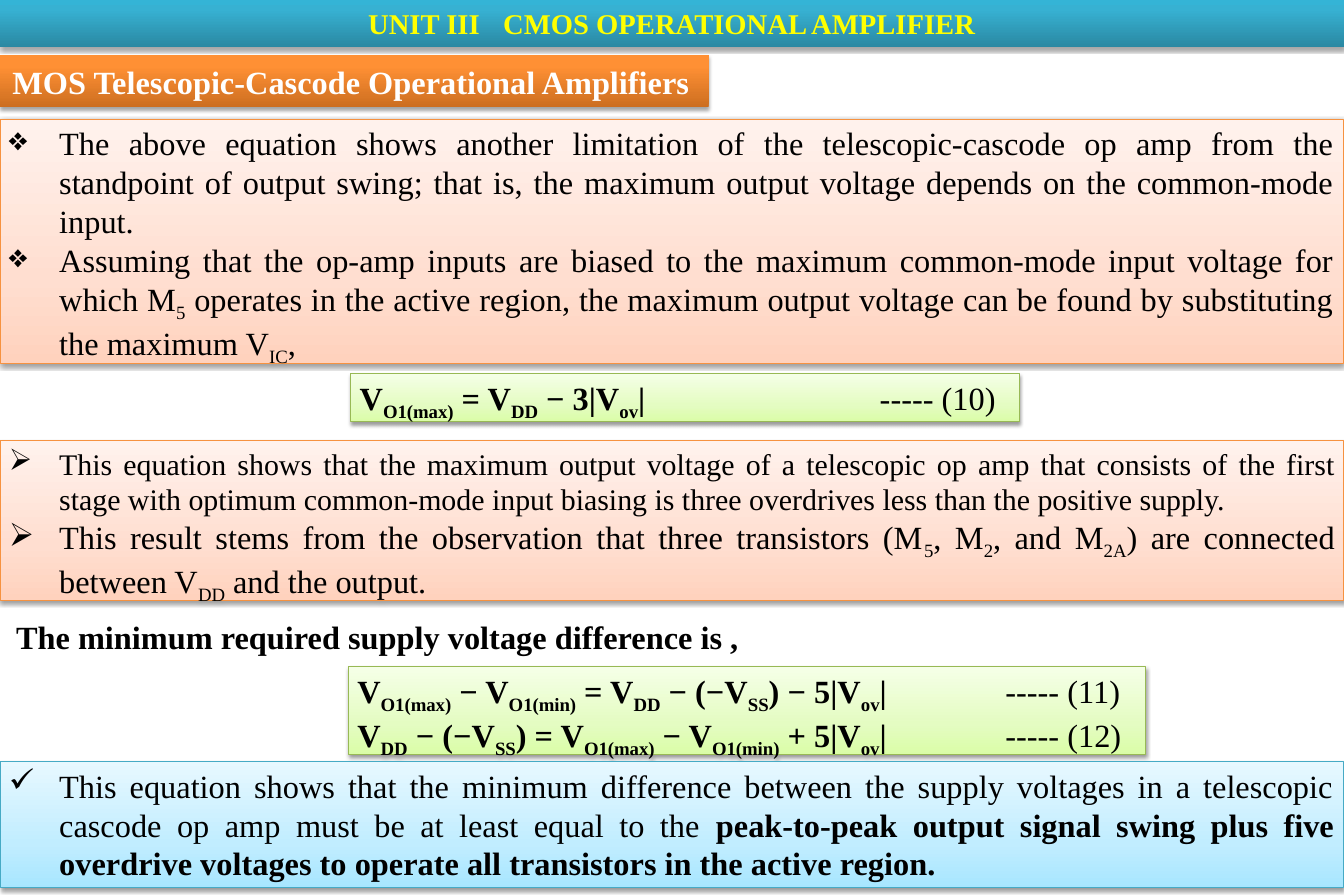
from copy import deepcopy
from dataclasses import dataclass
from typing import Optional

from pptx import Presentation
from pptx import util as u
from pptx.dml.color import RGBColor
from pptx.enum import shapes, text
from pptx.oxml import parse_xml
from pptx.oxml.ns import nsdecls, qn

FONT = "Times New Roman"
TAB = 102.85  # spacing of the tab stops
HANGING = 40.5  # bullet indent


@dataclass(frozen=True)
class Look:
    stops: tuple  # (position, colour), bottom to top
    line: Optional[str] = None
    shadow_alpha: int = 38
    shadow_distance: float = 1.6
    inset: tuple = (7.2, 3.6)


@dataclass(frozen=True)
class Line:
    words: str  # [x] is a subscript, * switches bold
    size: float = 26
    bullet: Optional[str] = None
    tab: Optional[float] = None
    align: Optional[text.PP_ALIGN] = None


@dataclass(frozen=True)
class Panel:
    place: tuple  # left, top, width, height
    lines: tuple
    look: Optional[Look] = None
    wrap: bool = True
    color: str = "000000"


def banner(bottom: str, middle: str, top: str) -> Look:
    return Look(((0, bottom), (0.8, middle), (1, top)), None, 35, 1.8, (10, 5))


def card(bottom: str, middle: str, top: str, line: str) -> Look:
    return Look(((0, bottom), (0.35, middle), (1, top)), line)


TEAL = banner("2A88A2", "37B1D2", "34B4D6")
ORANGE = banner("CC6E20", "FF9034", "FF9136")
PEACH = card("FFD2BD", "FFDED0", "FFF2ED", "F69240")
GREEN = card("DAFDA7", "E4FCC2", "F5FFE7", "98B955")
BLUE = card("A7E6FF", "C1EDFF", "E7F8FF", "46AAC5")

PANELS = (
    # Headings
    Panel((0, 44.6, 569.5, 41.8),
          (Line("*MOS Telescopic-Cascode Operational Amplifiers"),),
          ORANGE, wrap=False, color="FFFFFF"),
    Panel((0, 0, 1080, 38.2),
          (Line("*UNIT III\t CMOS OPERATIONAL AMPLIFIER", 23, tab=TAB,
                align=text.PP_ALIGN.CENTER),),
          TEAL, color="FFFF00"),
    # Output swing limitation
    Panel((0, 95.8, 1080, 196.6), (
        Line("The above equation shows another limitation of the telescopic-cascode op amp "
             "from the standpoint of output swing; that is, the maximum output voltage "
             "depends on the common-mode input.", bullet="❖"),
        Line("Assuming that the op-amp inputs are biased to the maximum common-mode input "
             "voltage for which M[5] operates in the active region, the maximum output "
             "voltage can be found by substituting the maximum V[IC],", bullet="❖"),
    ), PEACH),
    Panel((282, 300.2, 537, 38.9),
          (Line("*V[O1(max)] = V[DD] − 3|V[ov]|\t* ----- (10)", tab=4 * TAB),),
          GREEN, wrap=False),
    # Reading of equation 10
    Panel((0, 354.2, 1080, 128.2), (
        Line("This equation shows that the maximum output voltage of a telescopic op amp "
             "that consists of the first stage with optimum common-mode input biasing is "
             "three overdrives less than the positive supply.", 24, bullet="➢"),
        Line("This result stems from the observation that three transistors (M[5], M[2], "
             "and M[2A]) are connected between V[DD] and the output.", bullet="➢"),
    ), PEACH),
    # Minimum supply voltage
    Panel((5.8, 492.5, 601.2, 38.9),
          (Line("*The minimum required supply voltage difference is ,"),), wrap=False),
    Panel((280.1, 535.7, 640.8, 70.6), (
        Line("*V[O1(max)] − V[O1(min)] = V[DD] − (−V[SS]) − 5|V[ov]|\t* ----- (11)",
             tab=5 * TAB),
        Line("*V[DD] − (−V[SS]) = V[O1(max)] − V[O1(min)] + 5|V[ov]|\t* ----- (12)",
             tab=5 * TAB),
    ), GREEN, wrap=False),
    Panel((0, 612, 1080, 101.5), (
        Line("This equation shows that the minimum difference between the supply voltages "
             "in a telescopic cascode op amp must be at least equal to the* peak-to-peak "
             "output signal swing plus five overdrive voltages to operate all transistors "
             "in the active region.", bullet="✓"),
    ), BLUE),
)


def colour(value: str) -> RGBColor:
    return RGBColor.from_string(value)


def add_span(para, words: str, *, size: float, color: str, bold: bool, subscript: bool) -> None:
    span = para.add_run()
    span.text = words
    span.font.name = FONT
    span.font.size = u.Pt(size)
    span.font.bold = bold
    span.font.color.rgb = colour(color)
    if subscript:
        span.font._element.set("baseline", "-25000")


def write_line(para, line: Line, color: str) -> None:
    properties = para._p.get_or_add_pPr()
    if line.align is not None:
        para.alignment = line.align
    if line.bullet:
        para.alignment = text.PP_ALIGN.JUSTIFY
        properties.set("marL", str(u.Pt(HANGING)))
        properties.set("indent", str(-u.Pt(HANGING)))
        properties.append(parse_xml(f'<a:buChar {nsdecls("a")} char="{line.bullet}"/>'))
    if line.tab:
        properties.append(parse_xml(
            f'<a:tabLst {nsdecls("a")}><a:tab pos="{u.Pt(line.tab)}" algn="l"/></a:tabLst>'))
    for index, part in enumerate(line.words.split("*")):
        for order, words in enumerate(part.replace("]", "[").split("[")):
            if words:
                add_span(para, words, size=line.size, color=color,
                         bold=index % 2 == 1, subscript=order % 2 == 1)


def apply_look(box, look: Look) -> None:
    box.fill.gradient()
    box.fill.gradient_angle = 90
    stop_list = box._element.spPr.find(".//" + qn("a:gsLst"))
    stop_list.append(deepcopy(stop_list[0]))
    for stop, (position, value) in zip(box.fill.gradient_stops, look.stops):
        stop.position = position
        stop.color.rgb = colour(value)
    if look.line:
        box.line.color.rgb = colour(look.line)
        box.line.width = u.Pt(0.75)
    else:
        box.line.fill.background()
    box.shadow.inherit = False
    box._element.spPr.find(qn("a:effectLst")).append(parse_xml(
        f'<a:outerShdw {nsdecls("a")} blurRad="{u.Pt(3.1)}" dist="{u.Pt(look.shadow_distance)}" '
        f'dir="5400000" rotWithShape="0"><a:srgbClr val="000000">'
        f'<a:alpha val="{look.shadow_alpha * 1000}"/></a:srgbClr></a:outerShdw>'))


def add_panel(page, panel: Panel) -> None:
    place = [u.Pt(length) for length in panel.place]
    if panel.look:
        box = page.shapes.add_shape(shapes.MSO_SHAPE.RECTANGLE, *place)
        apply_look(box, panel.look)
    else:
        box = page.shapes.add_textbox(*place)
    frame = box.text_frame
    frame.word_wrap = panel.wrap
    frame.auto_size = text.MSO_AUTO_SIZE.SHAPE_TO_FIT_TEXT
    frame.vertical_anchor = text.MSO_ANCHOR.TOP
    across, down = panel.look.inset if panel.look else (7.2, 3.6)
    frame.margin_left = frame.margin_right = u.Pt(across)
    frame.margin_top = frame.margin_bottom = u.Pt(down)
    for index, line in enumerate(panel.lines):
        para = frame.add_paragraph() if index else frame.paragraphs[0]
        para.alignment = text.PP_ALIGN.LEFT
        write_line(para, line, panel.color)


def main() -> None:
    deck = Presentation()
    deck.slide_width, deck.slide_height = u.Pt(1080), u.Pt(720)
    page = deck.slides.add_slide(deck.slide_layouts[6])
    for panel in PANELS:
        add_panel(page, panel)
    deck.save("out.pptx")


if __name__ == "__main__":
    main()
